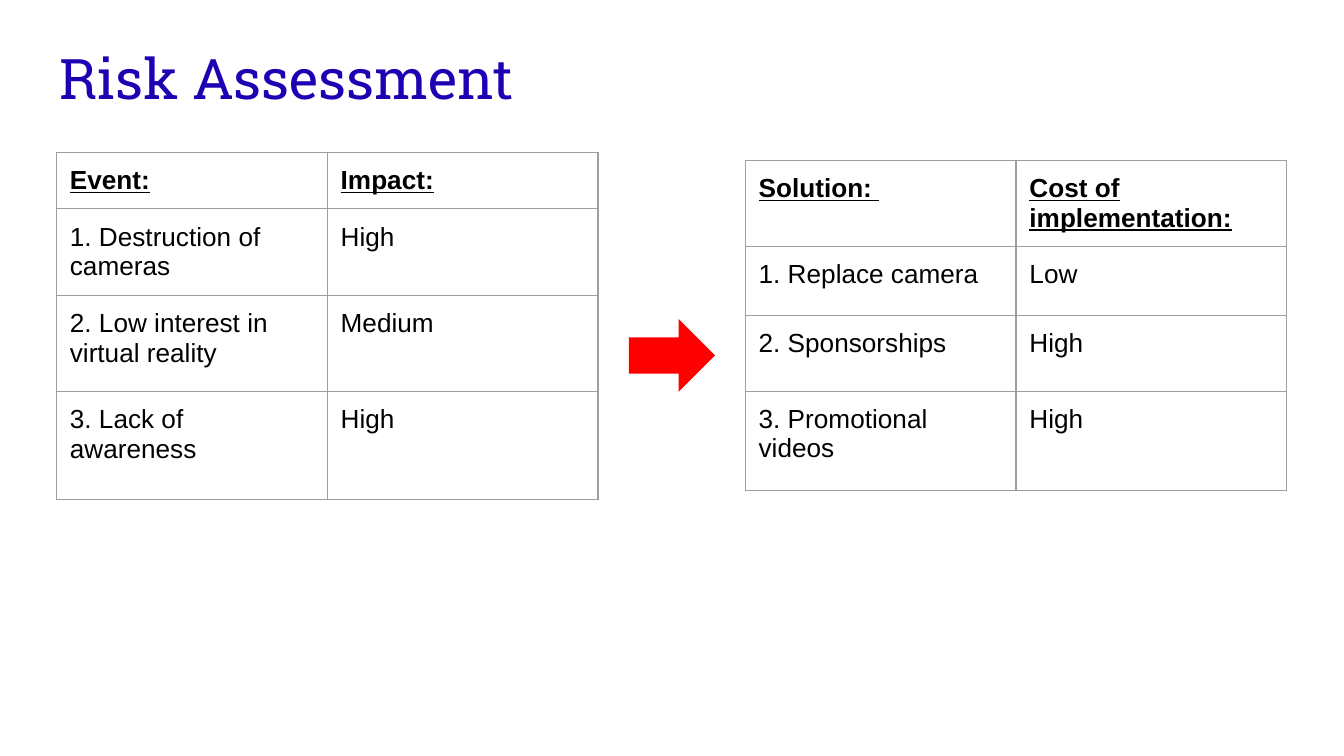
from dataclasses import dataclass

from lxml import etree
from pptx import Presentation
from pptx.dml.color import RGBColor
from pptx.enum.shapes import MSO_SHAPE
from pptx.enum.text import MSO_ANCHOR, MSO_AUTO_SIZE, PP_ALIGN
from pptx.oxml.ns import qn
from pptx.util import Inches, Pt

RIGHT_ARROW = MSO_SHAPE.RIGHT_ARROW
TOP = MSO_ANCHOR.TOP
LEFT = PP_ALIGN.LEFT
NO_AUTOFIT = MSO_AUTO_SIZE.NONE
TITLE_ONLY = 5
BORDER_SIDES = ("a:lnL", "a:lnR", "a:lnT", "a:lnB")


@dataclass(frozen=True)
class Theme:
    title_font: str = "Roboto Slab"
    body_font: str = "Arial"
    title_size: float = 30
    body_size: float = 14
    title_color: str = "1F00B2"
    text_color: str = "000000"
    border_color: str = "9E9E9E"
    arrow_color: str = "FF0000"
    background: str = "FFFFFF"
    border_width: float = 0.75
    padding: float = 0.1


def grid(units):
    """Length of a number of grid columns or rows, ten to the inch."""
    return Inches(units / 10)


def write_text(text_frame, text, *, font, size, color, bold=False, underline=False):
    paragraph = text_frame.paragraphs[0]
    paragraph.alignment = LEFT
    run = paragraph.add_run()
    run.text = text
    run.font.name = font
    run.font.size = Pt(size)
    run.font.color.rgb = RGBColor.from_string(color)
    run.font.bold = bold
    run.font.underline = underline


class SlideBuilder:
    def __init__(self, slide, theme):
        self.slide = slide
        self.theme = theme
        slide.background.fill.solid()
        slide.background.fill.fore_color.rgb = RGBColor.from_string(theme.background)

    def pad(self, box):
        for side in ("left", "top", "right", "bottom"):
            setattr(box, f"margin_{side}", Inches(self.theme.padding))
        box.vertical_anchor = TOP

    def title(self, text, left, top, width, height):
        shape = self.slide.shapes.title
        shape.left, shape.top = grid(left), grid(top)
        shape.width, shape.height = grid(width), grid(height)
        text_frame = shape.text_frame
        text_frame.auto_size = NO_AUTOFIT
        text_frame.word_wrap = True
        self.pad(text_frame)
        write_text(text_frame, text, font=self.theme.title_font,
                   size=self.theme.title_size, color=self.theme.title_color)

    def borders(self, cell):
        properties = cell._tc.get_or_add_tcPr()
        for side in BORDER_SIDES:
            line = etree.SubElement(properties, qn(side), w=str(Pt(self.theme.border_width)))
            fill = etree.SubElement(line, qn("a:solidFill"))
            etree.SubElement(fill, qn("a:srgbClr"), val=self.theme.border_color)

    def table(self, rows, left, top, column_width, row_heights):
        column_count = len(rows[0])
        table = self.slide.shapes.add_table(
            len(rows), column_count, grid(left), grid(top),
            grid(column_width * column_count), grid(sum(row_heights))).table
        table.first_row = table.horz_banding = False
        for column in table.columns:
            column.width = grid(column_width)
        for row, height in zip(table.rows, row_heights):
            row.height = grid(height)
        for row_index, texts in enumerate(rows):
            header = row_index == 0
            for column_index, text in enumerate(texts):
                cell = table.cell(row_index, column_index)
                self.pad(cell)
                self.borders(cell)
                cell.fill.background()
                write_text(cell.text_frame, text, font=self.theme.body_font,
                           size=self.theme.body_size, color=self.theme.text_color,
                           bold=header, underline=header)

    def arrow(self, left, top, width, height):
        shape = self.slide.shapes.add_shape(
            RIGHT_ARROW, grid(left), grid(top), grid(width), grid(height))
        shape.shadow.inherit = False
        shape.fill.solid()
        shape.fill.fore_color.rgb = RGBColor.from_string(self.theme.arrow_color)
        shape.line.fill.background()


def main():
    # Widescreen slide, 16 by 9
    presentation = Presentation()
    presentation.slide_width = Inches(10)
    presentation.slide_height = presentation.slide_width * 9 // 16
    slide = presentation.slides.add_slide(presentation.slide_layouts[TITLE_ONLY])
    builder = SlideBuilder(slide, Theme())

    builder.title("Risk Assessment", 3.4, 2.25, 93.2, 6.3)

    # Risks on the left
    risks = [
        ("Event:", "Impact:"),
        ("1. Destruction of cameras", "High"),
        ("2. Low interest in virtual reality", "Medium"),
        ("3. Lack of awareness", "High"),
    ]
    builder.table(risks, 4.2, 11.35, 20.15, (4.15, 6.45, 7.15, 8))

    # Solutions on the right
    solutions = [
        ("Solution: ", "Cost of implementation:"),
        ("1. Replace camera", "Low"),
        ("2. Sponsorships", "High"),
        ("3. Promotional videos", "High"),
    ]
    builder.table(solutions, 55.45, 11.95, 20.15, (6.35, 5.15, 5.65, 7.4))

    # Arrow from risks to solutions
    builder.arrow(46.8, 23.75, 6.4, 5.4)

    presentation.save("out.pptx")


if __name__ == "__main__":
    main()
